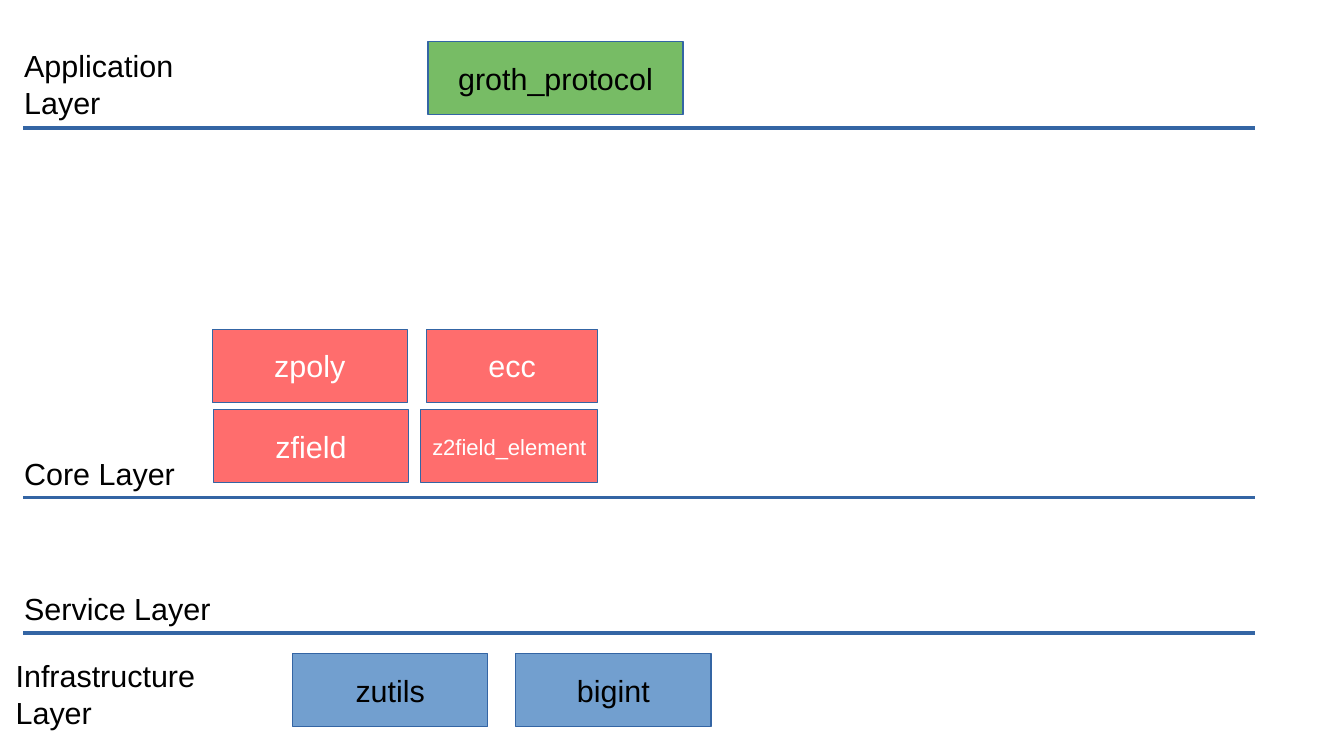
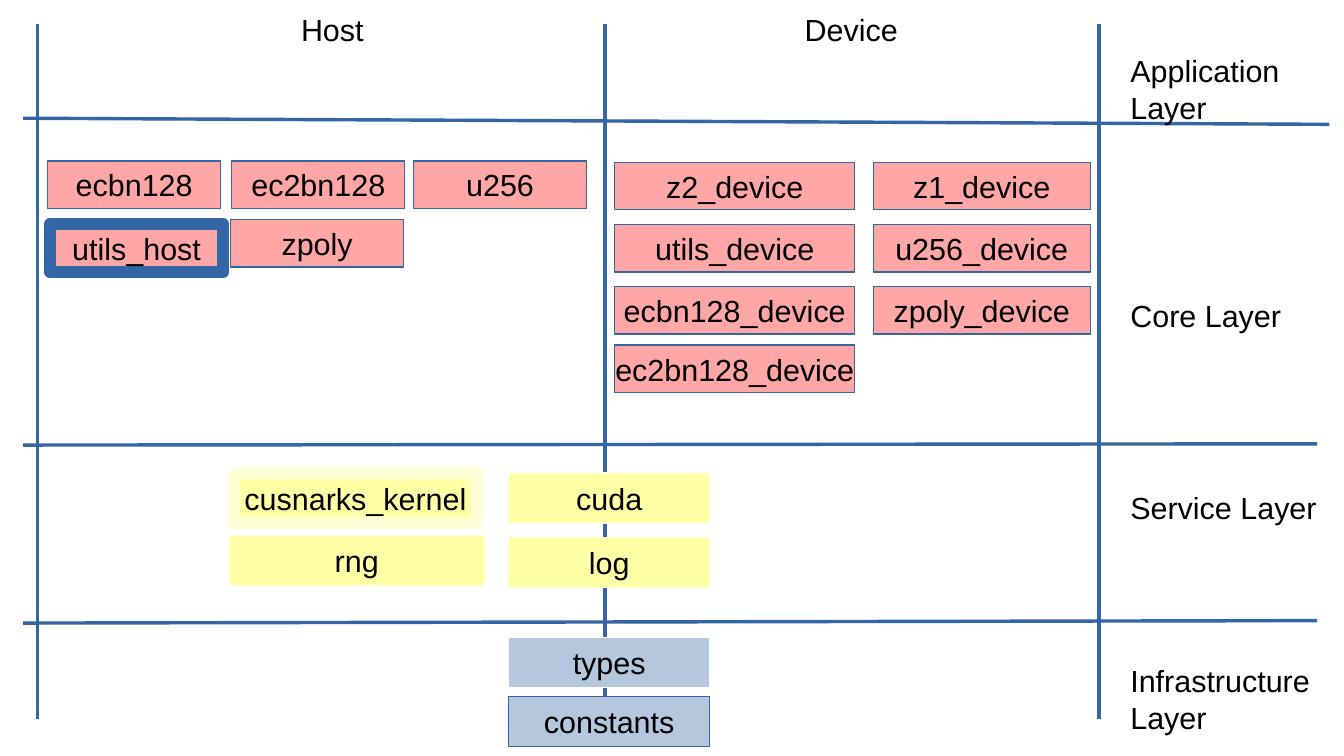
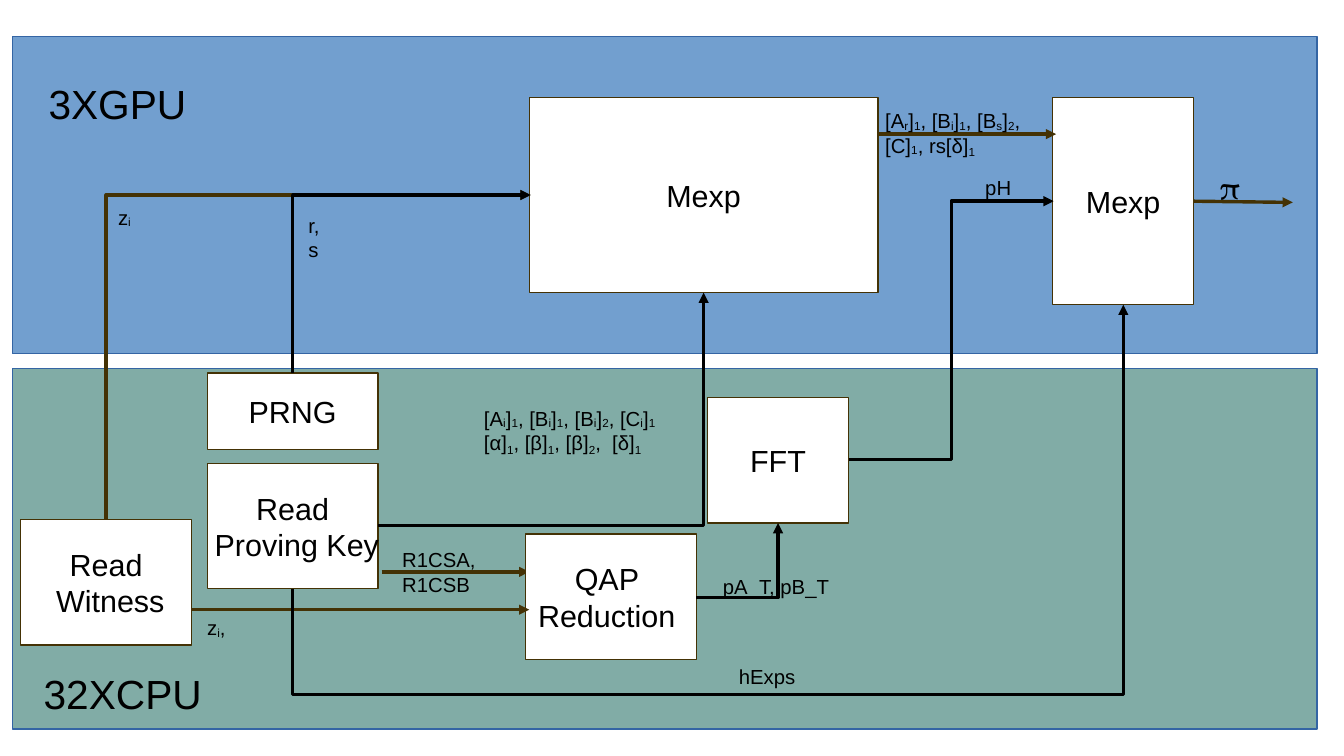
from lxml.etree import SubElement
from pptx import Presentation
from pptx.dml.color import RGBColor
from pptx.enum.shapes import MSO_CONNECTOR, MSO_SHAPE
from pptx.enum.text import MSO_ANCHOR, MSO_AUTO_SIZE, PP_ALIGN
from pptx.oxml.ns import qn
from pptx.util import Inches, Pt

COLORS = {
    "black": "000000", "white": "FFFFFF", "rule": "3465A4", "brown": "443205",
    "blue": "729FCF", "pale blue": "B4C7DC", "green": "77BC65", "teal": "81ACA6",
    "red": "FF6D6D", "pink": "FFA6A6", "yellow": "FFFFA6", "pale yellow": "FFFFD7",
}
COLORS = {name: RGBColor.from_string(value) for name, value in COLORS.items()}
FONT = "Arial"
SUBSCRIPT = "~"


def add_block(slide, place, words, fill=None, edge="rule", edge_width=0,
              size=18, ink="black", font=FONT):
    place = [Inches(length) for length in place]
    if fill:
        block = slide.shapes.add_shape(MSO_SHAPE.RECTANGLE, *place)
        block.shadow.inherit = False
        block.fill.solid()
        block.fill.fore_color.rgb = COLORS[fill]
        block.line.color.rgb = COLORS[edge]
        block.line.width = Pt(edge_width)
    else:
        block = slide.shapes.add_textbox(*place)
    frame = block.text_frame
    frame.word_wrap = not fill
    frame.auto_size = MSO_AUTO_SIZE.NONE if fill else MSO_AUTO_SIZE.SHAPE_TO_FIT_TEXT
    frame.vertical_anchor = MSO_ANCHOR.MIDDLE if fill else MSO_ANCHOR.TOP
    for number, sentence in enumerate(words.split("\n") if words else []):
        paragraph = frame.add_paragraph() if number else frame.paragraphs[0]
        paragraph.alignment = PP_ALIGN.CENTER if fill else PP_ALIGN.LEFT
        first, *rest = sentence.split(SUBSCRIPT)
        pieces = [(first, 0)]
        for piece in rest:
            drop = -17000 if pieces[-1][0].endswith(("α]", "β]", "δ]")) else -8000
            pieces.append((piece[0], drop))
            if piece[1:]:
                pieces.append((piece[1:], 0))
        for text, baseline in pieces:
            run = paragraph.add_run()
            run.text = text
            run.font.name = font
            run.font.size = Pt(size)
            run.font.color.rgb = COLORS[ink]
            if baseline:
                run.font._element.set("baseline", str(baseline))
    return block


def add_link(slide, start, end, color="rule", arrow=False, elbow=None,
             upright=False, adjust=None):
    kind = MSO_CONNECTOR.ELBOW if elbow else MSO_CONNECTOR.STRAIGHT
    link = slide.shapes.add_connector(kind, *[Inches(v) for v in (*start, *end)])
    link.line.color.rgb = COLORS[color]
    link.line.width = Pt(0)
    properties = link._element.spPr
    if arrow:
        SubElement(link.line._get_or_add_ln(), qn("a:tailEnd"), type="triangle")
    if elbow:
        geometry = properties.find(qn("a:prstGeom"))
        geometry.set("prst", elbow)
        if adjust is not None:
            SubElement(geometry.find(qn("a:avLst")), qn("a:gd"),
                       name="adj1", fmla=f"val {adjust}")
    if upright:
        across, rise = link.width, link.height
        link.left += (across - rise) // 2
        link.top += (rise - across) // 2
        link.width, link.height = rise, across
        for key, value in (("rot", "5400000"), ("flipH", "1"), ("flipV", "1")):
            properties.xfrm.set(key, value)
    SubElement(properties, qn("a:effectLst"))
    return link


deck = Presentation()
deck.slide_width, deck.slide_height = Inches(11.02), Inches(6.2)
blank = deck.slide_layouts[6]
layers, split, pipeline = [deck.slides.add_slide(blank) for _ in range(3)]

for y in (1.05, 4.08, 5.19):
    add_link(layers, (0.19, y), (10.29, y))

for left, top, width, name in (
    (0.1, 0.34, 1.6, "Application Layer"),
    (0.1, 3.68, 1.9, "Core Layer"),
    (0.1, 4.79, 1.9, "Service Layer"),
    (0.03, 5.34, 1.9, "Infrastructure Layer"),
):
    add_block(layers, (left, top, width, 0.66), name)

for left, top, width, name, fill, ink, size in (
    (3.51, 0.34, 2.09, "groth_protocol", "green", "black", 18),
    (1.74, 2.7, 1.6, "zpoly", "red", "white", 18),
    (3.5, 2.7, 1.4, "ecc", "red", "white", 18),
    (1.75, 3.36, 1.6, "zfield", "red", "white", 18),
    (3.45, 3.36, 1.45, "z2field_element", "red", "white", 13),
    (2.4, 5.36, 1.6, "zutils", "blue", "black", 18),
    (4.23, 5.36, 1.6, "bigint", "blue", "black", 18),
):
    add_block(layers, (left, top, width, 0.6), name, fill, ink=ink, size=size)

for start, end in (
    ((0.19, 0.97), (10.9, 1.02)),
    ((0.19, 3.65), (10.8, 3.64)),
    ((0.19, 5.11), (10.8, 5.09)),
):
    add_link(split, start, end)
for x in (0.31, 4.96, 9.01):
    add_link(split, (x, 0.2), (x, 5.9))

for left, top, width, height, name in (
    (2.37, 0.04, 1.1, 0.46, "Host"),
    (6.5, 0.04, 1.75, 0.46, "Device"),
    (9.17, 0.38, 1.9, 0.66, "Application Layer"),
    (9.17, 2.39, 1.9, 0.42, "Core Layer"),
    (9.17, 3.96, 1.9, 0.42, "Service Layer"),
    (9.17, 5.38, 1.9, 0.66, "Infrastructure Layer"),
):
    add_block(split, (left, top, width, height), name)

for left, top, width, name, edge_width in (
    (0.41, 1.84, 1.42, "utils_host", 7.2),
    (0.39, 1.32, 1.42, "ecbn128", 0),
    (1.9, 1.32, 1.42, "ec2bn128", 0),
    (3.39, 1.32, 1.42, "u256", 0),
    (1.89, 1.8, 1.42, "zpoly", 0),
    (5.04, 1.33, 1.97, "z2_device", 0),
    (5.04, 1.84, 1.97, "utils_device", 0),
    (5.04, 2.35, 1.97, "ecbn128_device", 0),
    (5.04, 2.83, 1.97, "ec2bn128_device", 0),
    (7.16, 1.33, 1.78, "z1_device", 0),
    (7.16, 1.84, 1.78, "u256_device", 0),
    (7.16, 2.35, 1.78, "zpoly_device", 0),
):
    add_block(split, (left, top, width, 0.39), name, "pink", edge_width=edge_width)

for left, top, width, name, fill, edge, edge_width in (
    (4.17, 3.88, 1.65, "cuda", "yellow", "pale yellow", 0),
    (4.17, 4.41, 1.65, "log", "yellow", "pale yellow", 0),
    (1.88, 4.39, 2.09, "rng", "yellow", "pale yellow", 0),
    (1.92, 3.88, 1.99, "cusnarks_kernel", "yellow", "pale yellow", 7.2),
    (4.17, 5.23, 1.65, "types", "pale blue", "white", 0),
    (4.17, 5.71, 1.65, "constants", "pale blue", "rule", 0),
):
    add_block(split, (left, top, width, 0.41), name, fill, edge, edge_width)

add_block(pipeline, (0.1, 3.02, 10.7, 2.96), "", "teal")
add_block(pipeline, (0.1, 0.3, 10.7, 2.6), "", "blue")
add_link(pipeline, (3.13, 4.69), (4.34, 4.69), "brown", arrow=True)

stages = {}
for stage, place, words in (
    ("reduction", (4.31, 4.38, 1.4, 1.03), "QAP \nReduction "),
    ("witness", (0.17, 4.26, 1.4, 1.03), "Read\n Witness"),
    ("key", (1.7, 3.8, 1.4, 1.03), "Read\n Proving Key"),
    ("random", (1.7, 3.06, 1.4, 0.63), "PRNG"),
    ("transform", (5.8, 3.26, 1.16, 1.03), "FFT"),
    ("first exponent", (4.34, 0.8, 2.86, 1.6), "Mexp"),
    ("last exponent", (8.63, 0.8, 1.16, 1.7), "Mexp"),
):
    stages[stage] = add_block(pipeline, place, words, "white", "brown")

for start, end in (((7.2, 1.1), (8.66, 1.1)), ((1.57, 5), (4.34, 5))):
    add_link(pipeline, start, end, "brown", arrow=True)
proof = add_link(pipeline, (9.79, 1.65), (10.6, 1.66), "brown", arrow=True)
proof.begin_connect(stages["last exponent"], 3)

for start, end, color, elbow, upright, adjust in (
    ((0.87, 4.26), (4.35, 1.6), "brown", "bentConnector2", True, None),
    ((2.4, 3.06), (4.35, 1.6), "black", "bentConnector2", True, None),
    ((3.1, 4.31), (5.77, 2.4), "black", "bentConnector2", False, None),
    ((5.71, 4.9), (6.38, 4.29), "black", "bentConnector2", False, None),
    ((6.96, 3.77), (8.64, 1.65), "black", "bentConnector3", False, 50000),
    ((2.4, 4.83), (9.21, 2.5), "black", "bentConnector3", True, -37200),
):
    add_link(pipeline, start, end, color, True, elbow, upright, adjust)

for place, words in (
    ((0.87, 1.63, 0.83, 0.47), "z~i"),
    ((2.43, 1.7, 0.37, 0.29), "r,s"),
    ((1.6, 5, 1.1, 0.47), "z~i,"),
    ((3.2, 4.44, 1.4, 0.47), "R1CSA,\nR1CSB"),
    ((5.83, 4.66, 1.54, 0.47), "pA_T, pB_T"),
    ((7.98, 1.39, 0.51, 0.4), "pH"),
    ((5.96, 5.4, 1.54, 0.47), "hExps"),
    ((7.16, 0.84, 1.62, 0.58), "[A~r]~1, [B~i]~1, [B~s]~2, [C]~1, rs[δ]~1"),
    ((3.87, 3.28, 1.62, 0.78),
     "[A~i]~1, [B~i]~1, [B~i]~2, [C~i]~1\n[α]~1, [β]~1, [β]~2,  [δ]~1"),
):
    add_block(pipeline, place, words, size=12)

add_block(pipeline, (0.3, 0.6, 1.7, 0.84), "3XGPU", size=24)
add_block(pipeline, (0.26, 5.44, 1.74, 0.84), "32XCPU", size=24)
add_block(pipeline, (9.9, 1.34, 1, 0.38), "π", font="TeX Gyre Schola")

deck.save("out.pptx")
